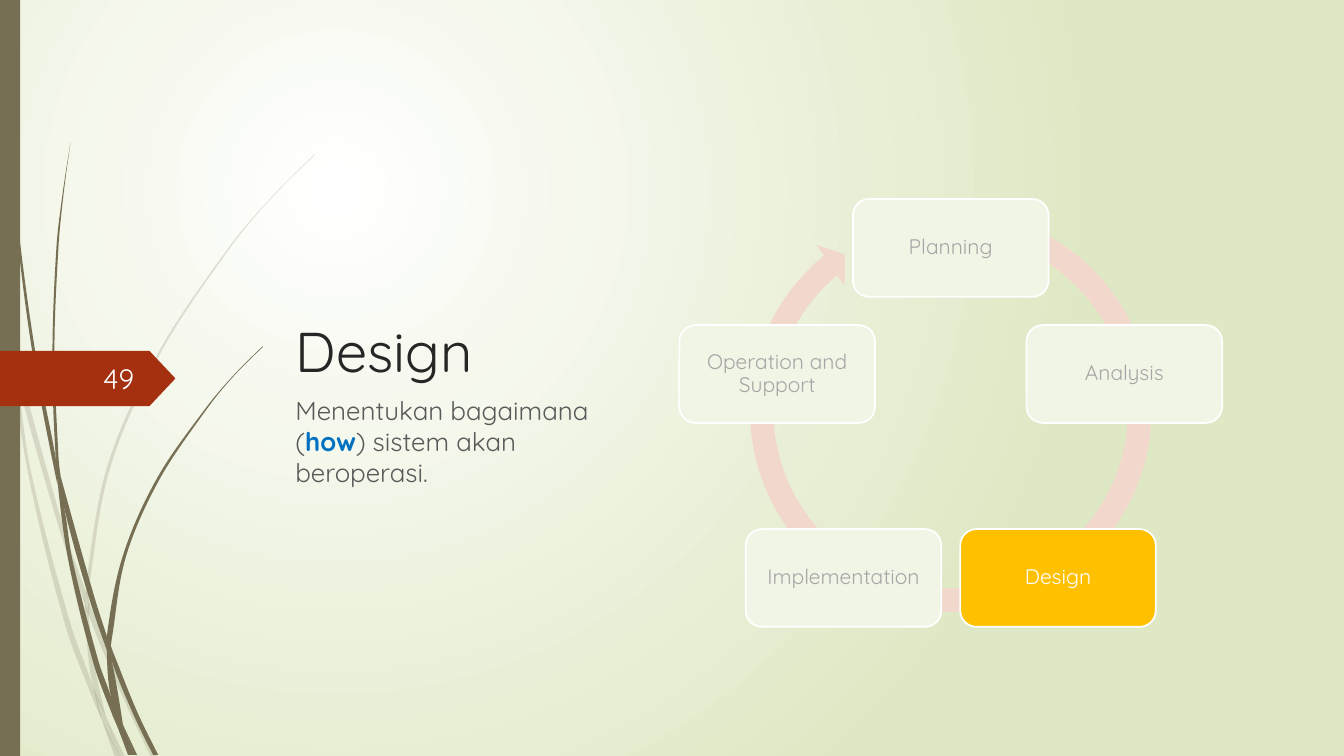
from math import cos, pi, sin

from pptx import Presentation
from pptx import util as u
from pptx.dml.color import RGBColor
from pptx.enum import shapes, text
from pptx.oxml.ns import qn
from pptx.oxml.xmlchemy import OxmlElement

# Content
TITLE = "Design"
BODY = [("Menentukan bagaimana (", "soft"), ("how", "blue"), (") sistem akan beroperasi.", "soft")]
PAGE = "49"
STEPS = ["Planning", "Analysis", "Design", "Implementation", "Operation and Support"]
ACTIVE = "Design"

FONT = "Quicksand"
HUES = {
    "white": "FFFFFF", "edge": "DFE8C4", "olive": "766F54", "rust": "A53010",
    "dark": "262626", "soft": "595959", "blue": "0070C0", "page": "FEFFFF",
    "ring": "F2D8CC", "pale": "F1F5E5", "grey": "A6A6A6", "gold": "FFC000",
}

# Grass pieces: points down the left edge, then down the right edge
FAINT = [
    ([(0, 2.82), (0, 2.99), (0.1, 3.44), (0.11, 3.5)], [(0, 2.82), (0.09, 3.22), (0.11, 3.5)]),
    ([(0.14, 3.45), (0.17, 3.76), (0.58, 5.22), (0.84, 5.99)],
     [(0.14, 3.45), (0.62, 5.2), (0.85, 5.86)]),
    ([(0.88, 5.96), (0.88, 6.1), (1.23, 6.94), (1.5, 7.51)],
     [(0.88, 5.96), (0.92, 6.07), (1.27, 6.92), (1.55, 7.51)]),
    ([(1.05, 7.11), (1.19, 7.51)], [(1.05, 7.11), (1.24, 7.51)]),
    ([(0.11, 3.5), (0.28, 4.7), (0.65, 6.21), (0.92, 6.93), (1.01, 7.14)],
     [(0.11, 3.5), (0.17, 3.76), (0.31, 4.69), (0.7, 6.19), (0.93, 6.83), (1.01, 7.14)]),
    ([(0.84, 5.99), (0.87, 6.46), (0.93, 6.83), (1.05, 7.11)],
     [(0.84, 5.99), (0.88, 6.1), (0.91, 6.46), (1.05, 7.11)]),
    ([(3.12, 1.53), (2.68, 1.97), (2.28, 2.44), (1.58, 3.48), (1.07, 4.61), (0.85, 5.84), (0.88, 5.96)],
     [(3.12, 1.54), (2.68, 1.98), (2.29, 2.45), (1.6, 3.49), (1.1, 4.62), (0.88, 5.84), (0.88, 5.96)]),
    ([(1.01, 7.14), (1.14, 7.51)], [(1.01, 7.14), (1.19, 7.51)]),
    ([(0.85, 5.86), (0.84, 5.99), (0.88, 6.1)], [(0.85, 5.86), (0.88, 5.96), (0.88, 6.1)]),
    ([(0.93, 6.83), (1.01, 7.14), (1.19, 7.51)], [(0.93, 6.83), (1.05, 7.11), (1.19, 7.51)]),
]
FULL = [
    ([(0.03, 0), (0.04, 0.48), (0.07, 1.1), (0.17, 2.33), (0.33, 3.55), (0.57, 4.81)],
     [(0.04, 0), (0.05, 0.48), (0.08, 1.09), (0.19, 2.32), (0.36, 3.55), (0.55, 4.53), (0.57, 4.81)]),
    ([(0.6, 4.72), (0.64, 5.05), (0.88, 5.92), (1.06, 6.45)], [(0.6, 4.72), (0.93, 5.9), (1.06, 6.31)]),
    ([(1.1, 6.41), (1.11, 6.56), (1.32, 7.08), (1.52, 7.49)],
     [(1.1, 6.41), (1.13, 6.49), (1.36, 7.06), (1.57, 7.49)]),
    ([(0.57, 4.77), (0.68, 5.57), (0.93, 6.59), (1.11, 7.08), (1.17, 7.22)],
     [(0.57, 4.77), (0.64, 5.05), (0.72, 5.56), (0.98, 6.57), (1.1, 6.91), (1.17, 7.22)]),
    ([(0.7, 1.41), (0.62, 1.93), (0.56, 2.45), (0.52, 3.49), (0.55, 4.49), (0.6, 4.72)],
     [(0.7, 1.41), (0.63, 1.93), (0.58, 2.45), (0.54, 3.49), (0.58, 4.53), (0.6, 4.72)]),
    ([(1.22, 7.19), (1.33, 7.49)], [(1.22, 7.19), (1.36, 7.49)]),
    ([(0.55, 4.49), (0.57, 4.77), (0.64, 5.05)], [(0.55, 4.49), (0.6, 4.72), (0.64, 5.05)]),
    ([(2.6, 3.44), (2.31, 3.73), (2.04, 4.05), (1.56, 4.74), (1.22, 5.51), (1.06, 6.31), (1.1, 6.41)],
     [(2.61, 3.44), (2.31, 3.74), (2.05, 4.06), (1.58, 4.76), (1.25, 5.52), (1.11, 6.33), (1.1, 6.41)]),
    ([(1.17, 7.22), (1.27, 7.49)], [(1.17, 7.22), (1.31, 7.49)]),
    ([(1.06, 6.45), (1.1, 6.91), (1.22, 7.19)], [(1.06, 6.45), (1.11, 6.56), (1.22, 7.19)]),
    ([(1.06, 6.31), (1.06, 6.45), (1.11, 6.56)], [(1.06, 6.31), (1.1, 6.41), (1.11, 6.56)]),
    ([(1.1, 6.91), (1.17, 7.22), (1.3, 7.49)], [(1.1, 6.91), (1.22, 7.19), (1.33, 7.49)]),
]

# Cycle geometry
MID_X, MID_Y, RADIUS = 9.43, 4.27, 1.81
BOX_W, BOX_H = 1.94, 0.97
RING_AT = (7.31, 1.96, 4.24, 4.24)
RING_ADJ = (0.055, 3.307, 138.3, 173.532, 0.058)

deck = Presentation()
deck.slide_width, deck.slide_height = u.Inches(13.33), u.Inches(7.5)
slide = deck.slides.add_slide(deck.slide_layouts[1])


def hue(name):
    return RGBColor.from_string(HUES[name])


def inch(*sizes):
    return [u.Inches(size) for size in sizes]


def place(shape, *box):
    shape.left, shape.top, shape.width, shape.height = inch(*box)


def paint(shape, fill, line=None):
    shape.shadow.inherit = False
    shape.fill.solid()
    shape.fill.fore_color.rgb = hue(fill)
    if line:
        shape.line.color.rgb = hue(line)
        shape.line.width = u.Pt(1.25)
    else:
        shape.line.fill.background()


def add(kind, box, fill, line=None):
    shape = slide.shapes.add_shape(kind, *inch(*box))
    paint(shape, fill, line)
    return shape


def style(para, size, color, align):
    para.font.name, para.font.size = FONT, u.Pt(size)
    para.font.color.rgb = hue(color)
    para.alignment = align


def bends(knots):
    """Smooth curves through the knots: two control points and an end each."""
    def slope(a, b):
        return (b[0] - a[0]) / (b[1] - a[1])

    inner = [slope(a, b) for a, b in zip(knots, knots[2:])]
    first, last = slope(*knots[:2]), slope(*knots[-2:])
    if inner:
        first, last = 1.5 * first - inner[0] / 2, 1.5 * last - inner[-1] / 2
    tilts = [first, *inner, last]
    curves = []
    for a, b, m, n in zip(knots, knots[1:], tilts, tilts[1:]):
        third = (b[1] - a[1]) / 3
        curves.append(((a[0] + m * third, a[1] + third), (b[0] - n * third, b[1] - third), b))
    return curves


def grow(near, far):
    """Draw one grass piece between its two edges."""
    foot = (near[-1], far[-1], far[-1])
    curves = bends(near) + [foot] + bends(far[::-1])
    pen = slide.shapes.build_freeform(*inch(*near[0]))
    pen.add_line_segments([inch(*curve[2]) for curve in curves])
    blade = pen.convert_to_shape()
    paint(blade, "olive")
    for line, curve in zip(blade.element.findall(".//" + qn("a:lnTo")), curves):
        line.tag = qn("a:cubicBezTo")
        for i, (x, y) in enumerate(curve[:2]):
            point = OxmlElement("a:pt")
            point.set("x", str(u.Inches(x) - blade.left))
            point.set("y", str(u.Inches(y) - blade.top))
            line.insert(i, point)
    return blade


# Background gradient
fill = slide.background.fill
fill.gradient()
for stop, name in zip(fill.gradient_stops, ("white", "edge")):
    stop.color.rgb = hue(name)
grad = slide.element.find(".//" + qn("a:gradFill"))
grad.remove(grad.find(qn("a:lin")))
glow = OxmlElement("a:path")
glow.set("path", "circle")
focus = OxmlElement("a:fillToRect")
for side, share in zip("ltrb", (50, 50, 100, 100)):
    focus.set(side, str(share * 1000))
glow.append(focus)
grad.append(glow)

# Grass
for edges in FAINT:
    veil = OxmlElement("a:alpha")
    veil.set("val", "20000")
    grow(*edges).element.spPr.find(".//" + qn("a:srgbClr")).append(veil)
for edges in FULL:
    grow(*edges)

# Side stripe and page tag
kinds, sides = shapes.MSO_SHAPE, text.PP_ALIGN
add(kinds.RECTANGLE, (0, 0, 0.2, 7.5), "olive")
add(kinds.PENTAGON, (0, 3.48, 1.74, 0.55), "rust").adjustments[0] = 0.47
page = slide.shapes.add_textbox(*inch(0.58, 3.55, 0.85, 0.4)).text_frame
page.word_wrap = True
page.vertical_anchor = text.MSO_ANCHOR.MIDDLE
page.text = PAGE
style(page.paragraphs[0], 20, "page", sides.RIGHT)

# Title and body
title, body = slide.shapes.title, slide.placeholders[1]
place(title, 2.83, 2.25, 9.75, 1.61)
title.text_frame.text = TITLE
title.text_frame.vertical_anchor = text.MSO_ANCHOR.BOTTOM
style(title.text_frame.paragraphs[0], 40, "dark", sides.LEFT)

place(body, 2.83, 3.86, 3.75, 0.94)
para = body.text_frame.paragraphs[0]
for words, name in BODY:
    run = para.add_run()
    run.text = words
    run.font.color.rgb = hue(name)
    run.font.bold = name == "blue"
style(para, 18.5, "soft", sides.LEFT)
para.space_before = u.Pt(10)
props = para._p.get_or_add_pPr()
props.set("marL", "0")
props.set("indent", "0")
props.find(qn("a:defRPr")).addprevious(OxmlElement("a:buNone"))
for holder in (title, body):
    holder.text_frame.auto_size = text.MSO_AUTO_SIZE.NONE

# Cycle
ring = add(kinds.CIRCULAR_ARROW, RING_AT, "ring")
for i, value in enumerate(RING_ADJ):
    ring.adjustments[i] = value
for i, step in enumerate(STEPS):
    turn = 2 * pi * i / len(STEPS)
    left = MID_X + RADIUS * sin(turn) - BOX_W / 2
    top = MID_Y - RADIUS * cos(turn) - BOX_H / 2
    on = step == ACTIVE
    box = add(kinds.ROUNDED_RECTANGLE, (left, top, BOX_W, BOX_H), "gold" if on else "pale", "white")
    frame = box.text_frame
    frame.margin_left = frame.margin_right = u.Inches(0.06)
    frame.text = step
    style(frame.paragraphs[0], 15, "white" if on else "grey", sides.CENTER)
    frame.paragraphs[0].line_spacing = 0.9

deck.save("out.pptx")
